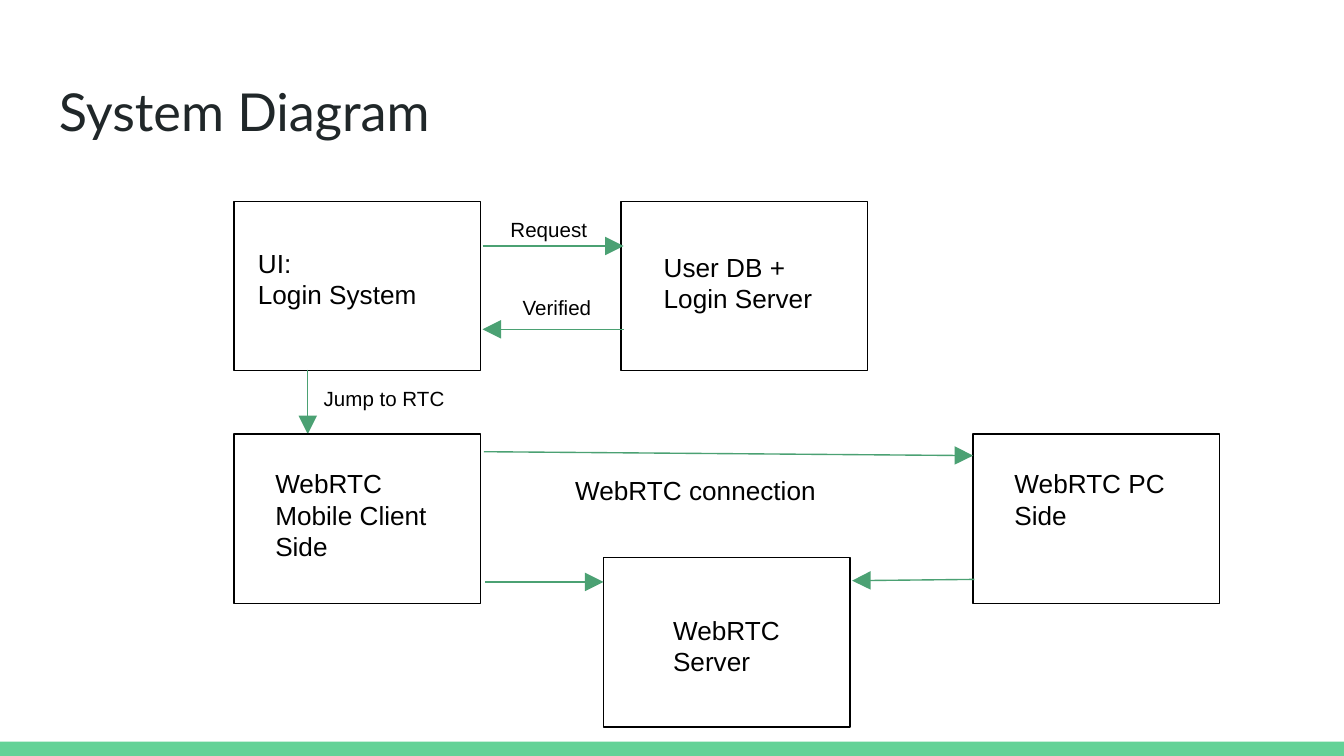
from collections import namedtuple
from lxml.etree import SubElement
from pptx import Presentation
from pptx.dml.color import RGBColor
from pptx.enum.shapes import MSO_CONNECTOR, MSO_SHAPE
from pptx.oxml.ns import qn
from pptx.util import Pt

Box = namedtuple("Box", "left top width height")

INK = "000000"
TITLE_INK = "202729"
ARROW_GREEN = "4BA173"
FOOTER_GREEN = "63D297"
NODE_WIDTH, NODE_HEIGHT = 132, 90.7


def color(hex_code):
    return RGBColor.from_string(hex_code)


def within(region, left, top, width, height):
    return Box(region.left + left, region.top + top, width, height)


def add_rect(slide, box, fill=None, outline=None):
    rect = slide.shapes.add_shape(MSO_SHAPE.RECTANGLE, *map(Pt, box))
    rect.shadow.inherit = False
    if fill:
        rect.fill.solid()
        rect.fill.fore_color.rgb = color(fill)
    else:
        rect.fill.background()
    if outline:
        rect.line.color.rgb = color(outline)
        rect.line.width = Pt(0.75)
    else:
        rect.line.fill.background()


def add_label(slide, box, lines, size, font="Arial", ink=INK):
    frame = slide.shapes.add_textbox(*map(Pt, box)).text_frame
    frame.word_wrap = True
    frame.margin_left = frame.margin_right = Pt(7.2)
    frame.margin_top = frame.margin_bottom = Pt(7.2)
    for index, line in enumerate(lines):
        paragraph = frame.add_paragraph() if index else frame.paragraphs[0]
        paragraph.line_spacing = 1.0
        run = paragraph.add_run()
        run.text = line
        run.font.size = Pt(size)
        run.font.name = font
        run.font.color.rgb = color(ink)


def add_arrow(slide, region, start, end):
    points = [Pt(value) for x, y in (start, end)
              for value in (region.left + x, region.top + y)]
    arrow = slide.shapes.add_connector(MSO_CONNECTOR.STRAIGHT, *points)
    arrow.line.color.rgb = color(ARROW_GREEN)
    arrow.line.width = Pt(0.75)
    SubElement(arrow.line._get_or_add_ln(), qn("a:tailEnd"),
               type="triangle", w="lg", len="lg")
    SubElement(arrow._element.spPr, qn("a:effectLst"))


def draw_region(slide, region, nodes, arrows, labels):
    for left, top in nodes:
        add_rect(slide, within(region, left, top, NODE_WIDTH, NODE_HEIGHT),
                 outline=INK)
    for start, end in arrows:
        add_arrow(slide, region, start, end)
    for place, size, lines in labels:
        add_label(slide, within(region, *place), lines, size)


def draw_login(slide, region):
    draw_region(
        slide, region,
        nodes=[(0, 0), (207.4, 0)],
        arrows=[((133.2, 23.8), (208.8, 23.8)),
                ((208.8, 68.4), (133.2, 68.4)),
                ((39.6, 90), (39.6, 124.6))],
        labels=[((5.8, 17.3, 124, 51), 14, ["UI:", "Login System"]),
                ((223.2, 19.4, 105, 51), 14, ["User DB + Login Server"]),
                ((141.1, 1.4, 60.5, 24.5), 11, ["Request"]),
                ((147.6, 43.2, 60.5, 24.5), 11, ["Verified"]),
                ((41, 92.2, 85.7, 19.4), 11, ["Jump to RTC"])])


def draw_call(slide, region):
    draw_region(
        slide, region,
        nodes=[(0, 0), (396, 0), (198, 66.2)],
        arrows=[((133.9, 9.4), (396, 11.5)),
                ((134.6, 79.2), (198, 79.2)),
                ((396.7, 77.8), (331.2, 78.5))],
        labels=[((15.1, 10.8, 105, 66.2), 14, ["WebRTC Mobile Client Side"]),
                ((411.1, 10.8, 105, 66.2), 14, ["WebRTC PC Side"]),
                ((228.2, 89.3, 72, 38.9), 14, ["WebRTC Server"]),
                ((175.7, 14.4, 186.5, 15.1), 14, ["WebRTC connection"])])


def draw_title(slide, region):
    add_label(slide, region, ["System Diagram"], 28, "Lato", TITLE_INK)


def draw_footer(slide, region):
    add_rect(slide, region, fill=FOOTER_GREEN)


def main():
    deck = Presentation()
    deck.slide_width, deck.slide_height = Pt(720), Pt(405)
    slide = deck.slides.add_slide(deck.slide_layouts[6])
    draw_footer(slide, Box(0, 397.4, 720, 7.6))
    draw_title(slide, Box(24.5, 35.3, 671, 45.4))
    draw_login(slide, Box(125.3, 108, 339.4, 124.6))
    draw_call(slide, Box(125.3, 232.6, 528, 156.9))
    deck.save("out.pptx")


if __name__ == "__main__":
    main()
